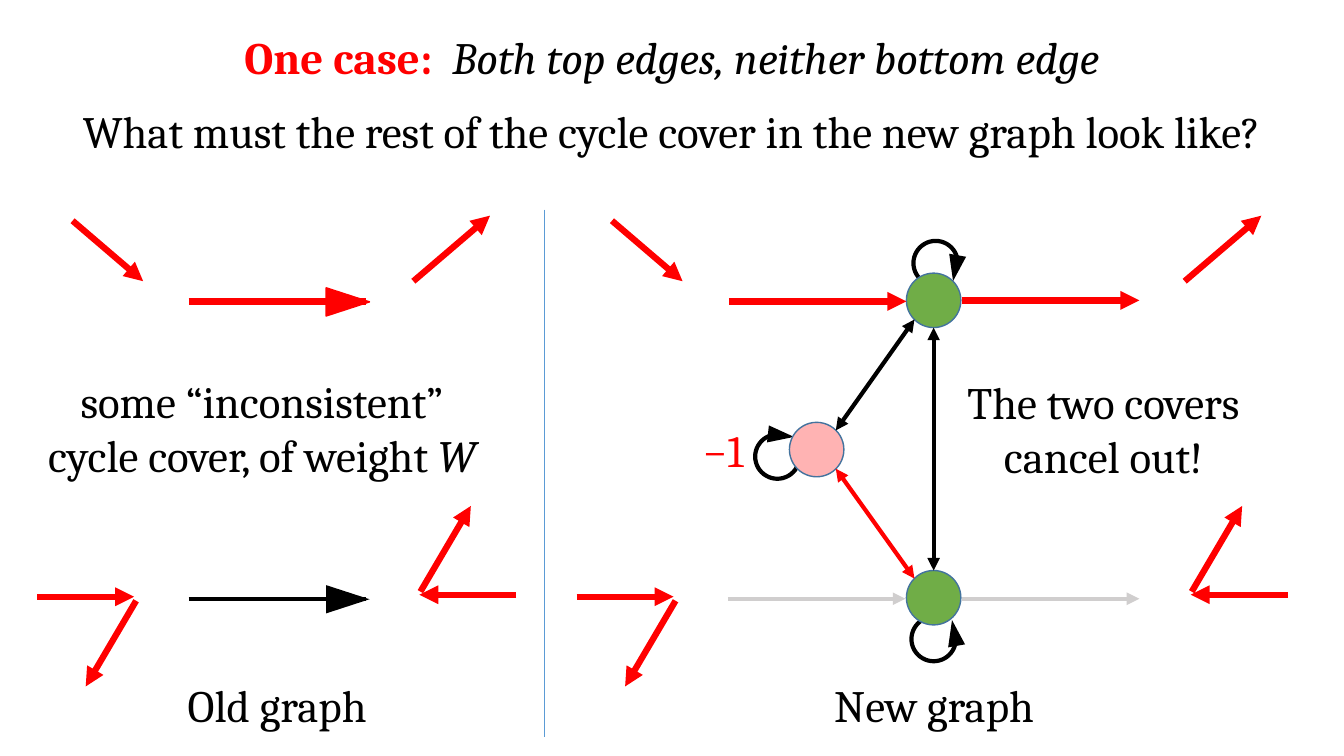
"""Builds the slide on cycle covers in the old and the new graph."""
from dataclasses import dataclass

from lxml import etree
from pptx import Presentation
from pptx.dml.color import RGBColor
from pptx.enum.shapes import MSO_CONNECTOR, MSO_SHAPE
from pptx.enum.text import MSO_AUTO_SIZE, PP_ALIGN
from pptx.oxml.ns import qn
from pptx.shapes.autoshape import Shape
from pptx.slide import Slide
from pptx.util import Emu, Pt

STRAIGHT = MSO_CONNECTOR.STRAIGHT
OVAL, RECT, WEDGE = MSO_SHAPE.OVAL, MSO_SHAPE.RECTANGLE, MSO_SHAPE.ISOSCELES_TRIANGLE
CENTER, LEFT = PP_ALIGN.CENTER, PP_ALIGN.LEFT
FIT = MSO_AUTO_SIZE.SHAPE_TO_FIT_TEXT

SCALE = 9144
FONT = "Cambria"
RED, BLACK, WHITE, GREY = "FF0000", "000000", "FFFFFF", "D0CECE"
GREEN, PINK, RIM, BLUE = "70AD47", "FFB3B3", "43739E", "5B9BD5"
NODE, RING = 54, 44


@dataclass
class Edge:
    """A line between two points, with the ends that carry arrowheads."""
    x1: int
    y1: int
    x2: int
    y2: int
    color: str = RED
    width: float = 4.5
    ends: tuple[str, ...] = ("tailEnd",)


@dataclass
class Part:
    """A preset shape with its frame and turn."""
    kind: MSO_SHAPE
    x: int
    y: int
    w: int
    h: int
    turn: float = 0
    fill: str | None = BLACK
    line: str | None = None
    width: float = 1


@dataclass
class Label:
    """A text box holding runs of words and their format."""
    x: int
    y: int
    w: int
    h: int
    runs: list[tuple[str, dict]]
    align: PP_ALIGN = CENTER


def px(n: int) -> Emu:
    """Turn px into EMU."""
    return Emu(n * SCALE)


def rgb(code: str) -> RGBColor:
    """Turn a hex string into a colour."""
    return RGBColor.from_string(code)


def draw_edge(slide: Slide, edge: Edge, shift: int = 0) -> None:
    """Draw an edge, moved right by shift."""
    line = slide.shapes.add_connector(STRAIGHT, px(edge.x1 + shift), px(edge.y1),
                                      px(edge.x2 + shift), px(edge.y2))
    line.line.color.rgb = rgb(edge.color)
    line.line.width = Pt(edge.width)
    stroke = line.line._get_or_add_ln()
    for end in edge.ends:
        etree.SubElement(stroke, qn(f"a:{end}"), type="triangle")
    etree.SubElement(line._element.spPr, qn("a:effectLst"))


def draw_part(slide: Slide, part: Part) -> Shape:
    """Draw a preset shape."""
    shape = slide.shapes.add_shape(part.kind, px(part.x), px(part.y), px(part.w), px(part.h))
    shape.shadow.inherit = False
    shape.rotation = part.turn
    if part.fill:
        shape.fill.solid()
        shape.fill.fore_color.rgb = rgb(part.fill)
    else:
        shape.fill.background()
    if part.line:
        shape.line.color.rgb = rgb(part.line)
        shape.line.width = Pt(part.width)
    else:
        shape.line.fill.background()
    return shape


def write(par, text: str, color: str = BLACK, bold: bool = False, italic: bool = False) -> None:
    """Add formatted text to a paragraph, with a break at each new line."""
    for i, words in enumerate(text.split("\n")):
        if i:
            par.add_line_break()
        run = par.add_run()
        run.text = words
        font = run.font
        font.name, font.size = FONT, Pt(32)
        font.bold, font.italic = bold, italic
        font.color.rgb = rgb(color)


def draw_label(slide: Slide, label: Label) -> None:
    """Draw a text box."""
    box = slide.shapes.add_textbox(px(label.x), px(label.y), px(label.w), px(label.h))
    frame = box.text_frame
    frame.word_wrap = False
    frame.auto_size = FIT
    par = frame.paragraphs[0]
    par.alignment = label.align
    for text, form in label.runs:
        write(par, text, **form)


def ring(x: int, y: int) -> Part:
    """Describe the circle of a self-loop."""
    return Part(OVAL, x, y, RING, RING, fill=None, line=BLACK, width=3)


def mask(x: int, y: int, turn: float = 0) -> Part:
    """Describe the gap in a self-loop."""
    return Part(RECT, x, y, 19, 14, turn, WHITE)


def node(x: int, y: int, fill: str) -> Part:
    """Describe a node of the graph."""
    return Part(OVAL, x, y, NODE, NODE, fill=fill, line=RIM)


def tip(x: int, y: int, turn: float) -> Part:
    """Describe the arrowhead of a self-loop."""
    return Part(WEDGE, x, y, 17, 26, turn)


BOTH = ("headEnd", "tailEnd")
OLD_EDGES = [Edge(187, 299, 363, 299, ends=()), Edge(187, 594, 363, 594, BLACK, 3, ())]
PARTS = [
    Part(WEDGE, 331, 278, 28, 43, 90, RED, RED),
    Part(WEDGE, 331, 573, 28, 43, 90),
    ring(749, 431), mask(775, 433, 289.9),
    ring(904, 612), mask(933, 612),
    ring(906, 239), mask(935, 268),
    node(899, 271, GREEN), node(899, 566, GREEN),
    tip(939, 253, 190.1), tip(938, 615, 349.9), tip(766, 419, 96.5),
    node(783, 419, PINK),
]
NEW_EDGES = [
    Edge(723, 299, 899, 299), Edge(954, 298, 1130, 298),
    Edge(722, 594, 898, 594, GREY, 3), Edge(954, 594, 1130, 594, GREY, 3),
    Edge(907, 317, 829, 427, BLACK, 3, BOTH),
    Edge(829, 465, 907, 574, RED, 3, BOTH),
    Edge(926, 325, 926, 566, BLACK, 3, BOTH),
    Edge(540, 208, 540, 731, BLUE, 0.5, ()),
]
LEFT_SIDE = [Edge(72, 219, 142, 279), Edge(37, 592, 133, 592), Edge(135, 596, 85, 681)]
RIGHT_SIDE = [Edge(410, 279, 486, 214), Edge(512, 590, 416, 590), Edge(417, 587, 467, 502)]
SIDES = [(LEFT_SIDE, 535), (RIGHT_SIDE, 765)]
LABELS = [
    Label(204, 25, 925, 64, [("One case:  ", {"color": RED, "bold": True}),
                             ("Both top edges, neither bottom edge", {"italic": True})]),
    Label(42, 98, 1249, 64,
          [("What must the rest of the cycle cover in the new graph look like?", {})]),
    Label(687, 414, 70, 64, [("−1", {"color": RED})], LEFT),
    Label(171, 667, 208, 64, [("Old graph", {})]),
    Label(812, 667, 229, 64, [("New graph", {})]),
    Label(939, 367, 311, 118, [("The two covers\ncancel out!", {})]),
    Label(25, 366, 470, 118, [("some “inconsistent”\ncycle cover, of weight ", {}),
                              ("W", {"italic": True})]),
]


def main() -> None:
    """Build and save the slide."""
    deck = Presentation()
    deck.slide_width, deck.slide_height = px(1333), px(750)
    slide = deck.slides.add_slide(deck.slide_layouts[6])
    for edge in OLD_EDGES:
        draw_edge(slide, edge)
    for part in PARTS:
        draw_part(slide, part)
    for edge in NEW_EDGES:
        draw_edge(slide, edge)
    for side, gap in SIDES:
        for edge in side:
            for shift in (0, gap):
                draw_edge(slide, edge, shift)
    for label in LABELS:
        draw_label(slide, label)
    deck.save("out.pptx")


if __name__ == "__main__":
    main()
